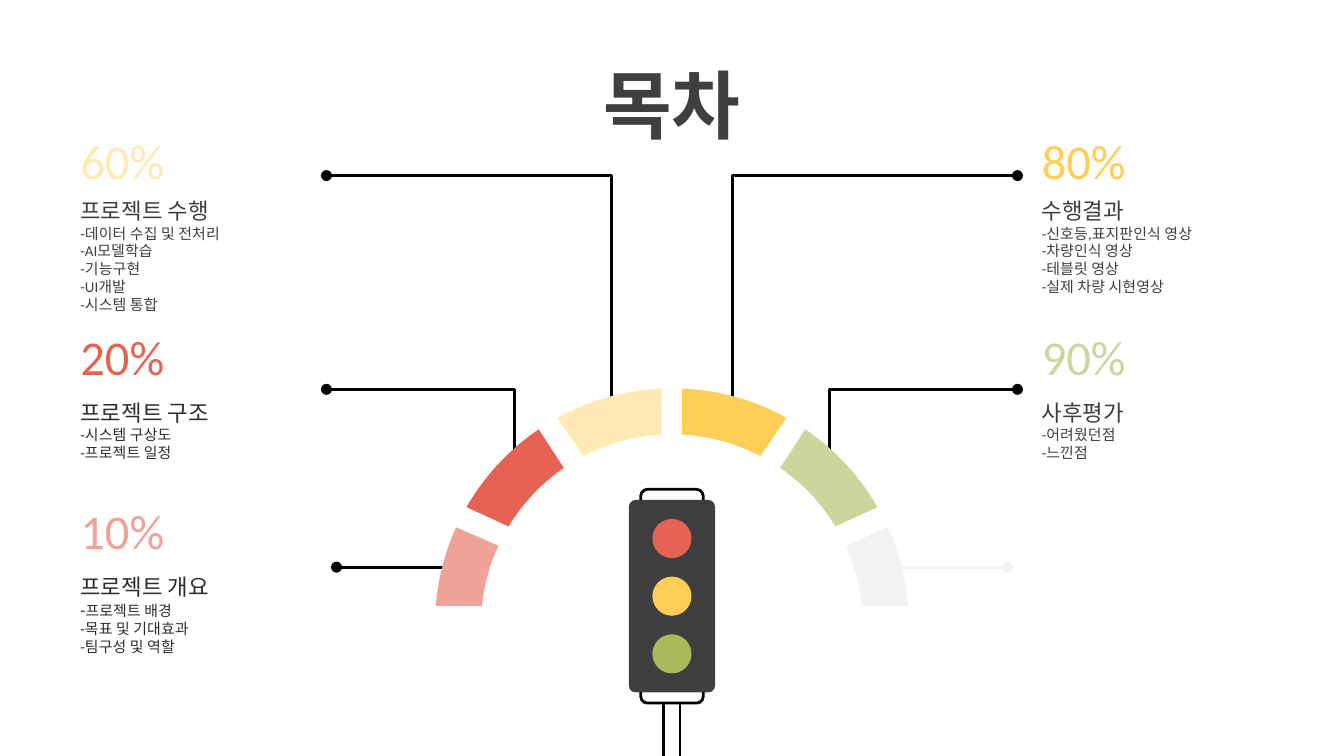
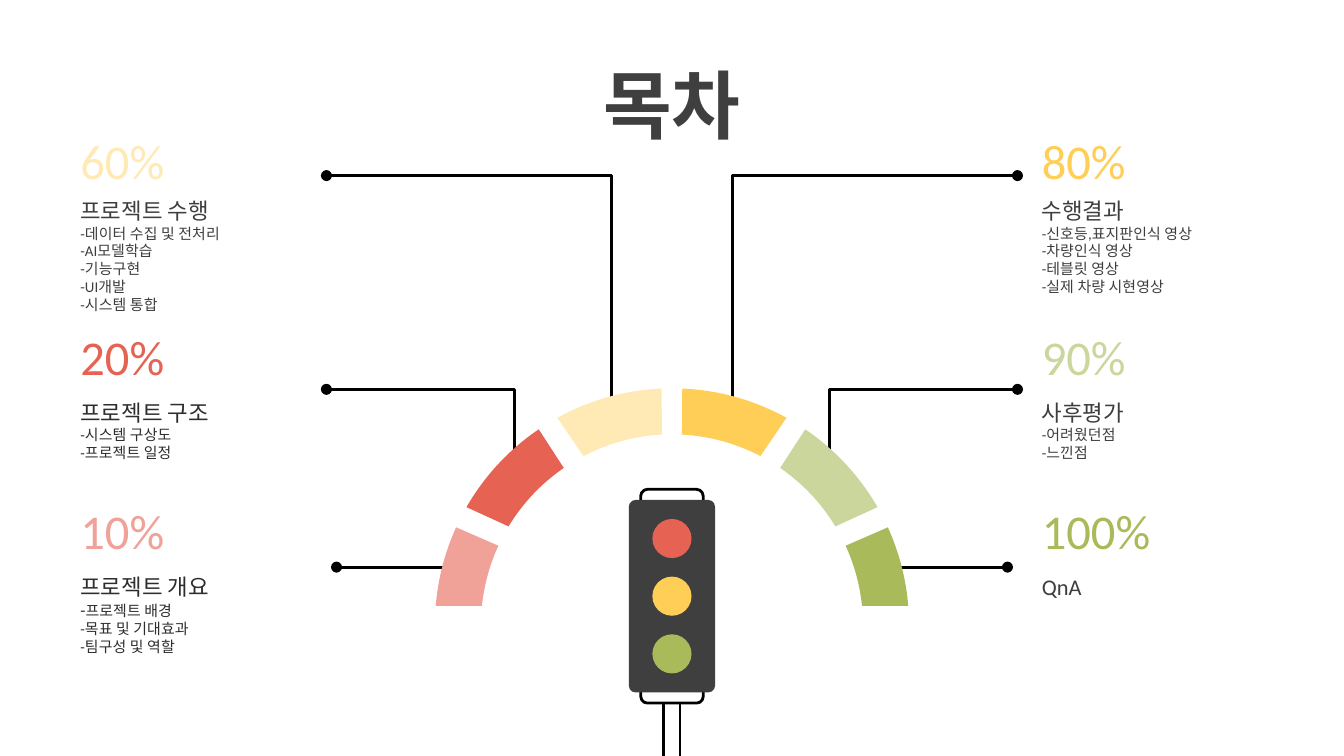
import math
from dataclasses import dataclass

from lxml import etree
from pptx import Presentation
from pptx import util as u
from pptx.dml.color import RGBColor
from pptx.enum import shapes, text
from pptx.oxml.ns import qn

Cm, Pt = u.Cm, u.Pt
SHAPE = shapes.MSO_SHAPE

# Content: side, row, percent, colour, text colour, heading, details
# A detail given as a pair has its dash in a larger size.
SECTIONS = [
    ("left", 2, "10%", "F0A198", "2D2D2D", "프로젝트 개요",
     [("-", "프로젝트 배경"), "-목표 및 기대효과", "-팀구성 및 역할"]),
    ("left", 1, "20%", "E66353", "2D2D2D", "프로젝트 구조",
     ["-시스템 구상도", "-프로젝트 일정"]),
    ("left", 0, "60%", "FFEAB5", "3E3E3E", "프로젝트 수행",
     ["-데이터 수집 및 전처리", "-AI모델학습", "-기능구현", "-UI개발", "-시스템 통합"]),
    ("right", 0, "80%", "FFCE56", "3E3E3E", "수행결과",
     ["-신호등,표지판인식 영상", "-차량인식 영상", "-테블릿 영상", "-실제 차량 시현영상"]),
    ("right", 1, "90%", "CBD69C", "3E3E3E", "사후평가",
     ["-어려웠던점", "-느낀점"]),
    ("right", 2, "100%", "A9BA5A", "3E3E3E", "QnA", []),
]
TITLE = "목차"
SLIDES = [{"100%"}, set()]  # sections still pending on each slide


@dataclass(frozen=True)
class Theme:
    font: str = "Calibri"
    dark: str = "3F3F40"
    line: str = "000000"
    pending: str = "F2F2F2"
    lamps: tuple = ("E66353", "FFCE56", "A9BA5A")
    title: float = 40
    percent: float = 26
    heading: float = 12
    detail: float = 8
    dash: float = 9
    stroke: float = 1.5


THEME = Theme()

# Layout in centimetres; the right half mirrors the left
WIDTH, HEIGHT = 25.4, 14.29
MIDDLE = WIDTH / 2
ARC_Y, OUTER, INNER = 11.82, 4.48, 3.61
TEXT_LEFT = {"left": 1.27, "right": 19.44}
TEXT_WIDTH = 4.7
PERCENT_TOPS = (2.47, 6.18, 9.47)
LABEL_TOPS = (3.48, 7.29, 10.58)
# Leader points of each row, from the arc outwards
LEADERS = (
    [(11.56, 7.8), (11.56, 3.32), (6.17, 3.32)],
    [(9.73, 8.99), (9.73, 7.36), (6.17, 7.36)],
    [(8.71, 10.72), (6.36, 10.72)],
)
# Degrees of each row: outer from, outer to, inner from, inner to
ARCS = ((61.1, 87.5, 62.4, 87), (29.9, 55.8, 31.2, 55.5), (4.7, 24.4, 5.8, 24.6))


def rgb(color):
    return RGBColor.from_string(color)


def mirror(points, side):
    return [(x if side == "left" else WIDTH - x, y) for x, y in points]


def style(shape, fill=None, line=None):
    shape.shadow.inherit = False
    if fill:
        shape.fill.solid()
        shape.fill.fore_color.rgb = rgb(fill)
    else:
        shape.fill.background()
    if line:
        shape.line.color.rgb = rgb(line)
        shape.line.width = Pt(THEME.stroke)
    else:
        shape.line.fill.background()


def outline(slide, points, close):
    corners = [(Cm(x), Cm(y)) for x, y in points]
    builder = slide.shapes.build_freeform(*corners[0])
    builder.add_line_segments(corners[1:], close=close)
    return builder.convert_to_shape()


def format_run(run, size, color, bold=False):
    run.font.name = THEME.font
    run.font.size = Pt(size)
    run.font.bold = bold
    run.font.color.rgb = rgb(color)
    etree.SubElement(run.font._element, qn("a:ea"), typeface=THEME.font)


def add_leader(slide, side, row, color):
    points = mirror(LEADERS[row], side)
    if len(points) == 2:
        start, end = points
        leader = slide.shapes.add_connector(
            shapes.MSO_CONNECTOR.STRAIGHT, *map(Cm, start + end))
        leader.line.color.rgb = rgb(color)
        leader.line.width = Pt(THEME.stroke)
        etree.SubElement(leader._element.spPr, qn("a:effectLst"))
    else:
        leader = outline(slide, points, close=False)
        style(leader, line=color)
    for end_tag in ("a:headEnd", "a:tailEnd"):
        etree.SubElement(leader.line._get_or_add_ln(), qn(end_tag), type="oval")


def arc_points(radius, start, end):
    """End points and control points of the Bezier curve along an arc."""
    first, last = math.radians(start), math.radians(end)
    handle = 4 / 3 * math.tan((last - first) / 4)
    for angle, pull in ((first, 0), (first, handle), (last, -handle), (last, 0)):
        across = math.cos(angle) - pull * math.sin(angle)
        up = math.sin(angle) + pull * math.cos(angle)
        yield MIDDLE - radius * across, ARC_Y - radius * up


def add_segment(slide, side, row, color):
    outer_from, outer_to, inner_from, inner_to = ARCS[row]
    points = [*arc_points(OUTER, outer_from, outer_to),
              *arc_points(INNER, inner_to, inner_from)]
    segment = outline(slide, mirror(points, side), close=True)
    # Turn the two runs of three lines into curves
    lines = list(segment._element.iter(qn("a:lnTo")))
    for run in (lines[:3], lines[4:7]):
        curve = etree.Element(qn("a:cubicBezTo"))
        run[0].addprevious(curve)
        for line in run:
            curve.append(line[0])
            line.getparent().remove(line)
    style(segment, fill=color)


def add_traffic_light(slide):
    group = slide.shapes.add_group_shape()

    def part(kind, top, width, height, fill=None, line=None):
        shape = group.shapes.add_shape(
            kind, Cm(MIDDLE - width / 2), Cm(top), Cm(width), Cm(height))
        style(shape, fill, line)
        return shape

    for top, turn in ((9.25, 0), (13.04, 180)):
        cap = part(SHAPE.ROUND_2_SAME_RECTANGLE, top, 1.18, 0.25, line=THEME.line)
        cap.adjustments[0], cap.adjustments[1] = 0.5, 0
        cap.rotation = turn
    housing = part(SHAPE.ROUNDED_RECTANGLE, 9.45, 1.63, 3.64, fill=THEME.dark)
    housing.adjustments[0] = 0.08
    part(SHAPE.RECTANGLE, 13.29, 0.31, 1.03, line=THEME.line)
    for index, lamp in enumerate(THEME.lamps):
        part(SHAPE.OVAL, 9.81 + index * 1.09, 0.74, 0.74, fill=lamp)


def set_frame(frame, anchor):
    frame.word_wrap = True
    frame.auto_size = text.MSO_AUTO_SIZE.NONE
    frame.vertical_anchor = anchor
    frame.margin_left = frame.margin_right = Cm(0.25)
    frame.margin_top = frame.margin_bottom = Cm(0.25)


def add_box(slide, side, top, height, anchor):
    frame = slide.shapes.add_textbox(
        Cm(TEXT_LEFT[side]), Cm(top), Cm(TEXT_WIDTH), Cm(height)).text_frame
    set_frame(frame, anchor)
    return frame


def add_percent(slide, side, row, percent, color):
    frame = add_box(slide, side, PERCENT_TOPS[row], 1.35, text.MSO_ANCHOR.BOTTOM)
    frame.text = percent
    format_run(frame.paragraphs[0].runs[0], THEME.percent, color)


def add_label(slide, side, row, heading, details, color):
    frame = add_box(slide, side, LABEL_TOPS[row], 1.9, text.MSO_ANCHOR.TOP)
    frame.text = heading
    format_run(frame.paragraphs[0].runs[0], THEME.heading, color)
    for detail in details:
        paragraph = frame.add_paragraph()
        if isinstance(detail, tuple):
            dash, detail = detail
            paragraph.text = dash
            format_run(paragraph.runs[0], THEME.dash, color)
        run = paragraph.add_run()
        run.text = detail
        format_run(run, THEME.detail, color)


def add_title(slide):
    title = slide.shapes.title
    title.left, title.top, title.width, title.height = map(Cm, (1.27, 0.86, 22.86, 1.73))
    set_frame(title.text_frame, text.MSO_ANCHOR.TOP)
    title.text_frame.text = TITLE
    paragraph = title.text_frame.paragraphs[0]
    paragraph.alignment = text.PP_ALIGN.CENTER
    format_run(paragraph.runs[0], THEME.title, THEME.dark, bold=True)


def add_contents(deck, pending):
    slide = deck.slides.add_slide(deck.slide_layouts[5])
    add_title(slide)

    def shade(percent, color):
        return THEME.pending if percent in pending else color

    # Leaders lie under the arc
    for side, row, percent, *_ in SECTIONS:
        add_leader(slide, side, row, shade(percent, THEME.line))
    for side, row, percent, color, *_ in SECTIONS:
        add_segment(slide, side, row, shade(percent, color))
    add_traffic_light(slide)
    # Pending sections get their text on a later slide
    for side, row, percent, color, ink, heading, details in SECTIONS:
        if percent not in pending:
            add_percent(slide, side, row, percent, color)
            add_label(slide, side, row, heading, details, ink)


def main():
    deck = Presentation()
    deck.slide_width, deck.slide_height = Cm(WIDTH), Cm(HEIGHT)
    for pending in SLIDES:
        add_contents(deck, pending)
    deck.save("out.pptx")


if __name__ == "__main__":
    main()
